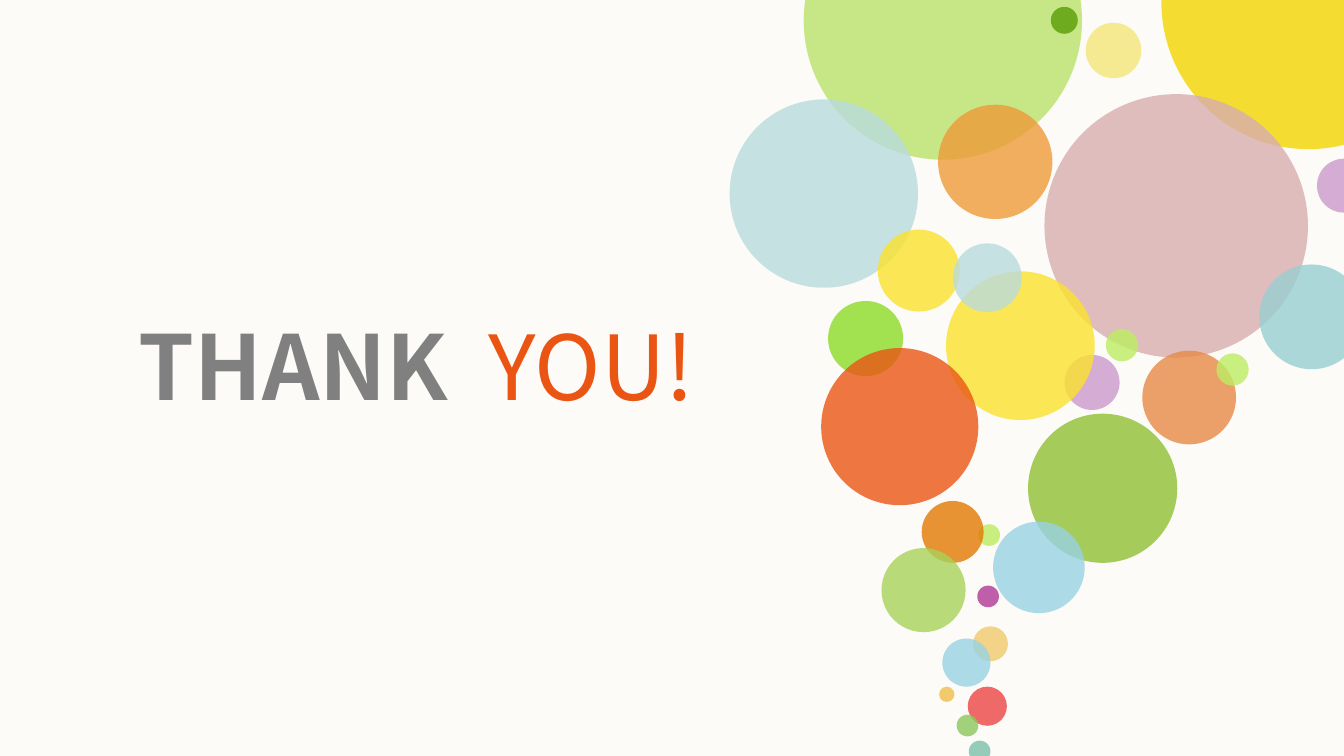
from dataclasses import dataclass

import pptx
import pptx.dml.color
import pptx.enum.shapes
import pptx.enum.text
import pptx.oxml
import pptx.oxml.ns
import pptx.util
from pptx.util import Cm


@dataclass
class Dot:
    left: float
    top: float
    size: float
    tint: str
    alpha: int = 80


@dataclass
class Span:
    text: str
    tint: str
    bold: bool
    gap: float = 0


DOTS = [
    Dot(15.19, -2.24, 5.26, "BAE36B"),
    Dot(19.86, 0.13, 0.51, "6EAB1F", 100),
    Dot(13.79, 1.88, 3.56, "B9DBDD"),
    Dot(17.73, 1.98, 2.16, "ED9B38"),
    Dot(20.52, 0.43, 1.05, "F5EA91", 100),
    Dot(21.95, -2.74, 5.56, "F4D500"),
    Dot(19.74, 1.78, 4.98, "D8AEAF"),
    Dot(23.8, 5, 1.98, "99CED2"),
    Dot(24.89, 3, 1.02, "CB99CC"),
    Dot(21.59, 6.63, 1.77, "E78A47"),
    Dot(19.43, 7.82, 2.82, "A5CB5A", 100),
    Dot(22.99, 6.68, 0.61, "BDED63"),
    Dot(20.9, 6.22, 0.61, "BCED61"),
    Dot(20.12, 6.71, 1.04, "CB99CC"),
    Dot(17.88, 5.13, 2.81, "FBE22D"),
    Dot(16.59, 4.34, 1.55, "FBE22D"),
    Dot(15.65, 5.69, 1.42, "8CDB27"),
    Dot(18.49, 9.91, 0.41, "BCED60"),
    Dot(18.47, 11.07, 0.41, "B03896"),
    Dot(18.39, 11.84, 0.66, "F0CA6C"),
    Dot(17.75, 12.98, 0.29, "F0CA6C", 100),
    Dot(18.31, 14, 0.41, "7BBFAA"),
    Dot(18.29, 12.98, 0.74, "EB4544"),
    Dot(18.08, 13.51, 0.41, "8DC65B"),
    Dot(17.81, 12.07, 0.91, "98D2E3"),
    Dot(18.01, 4.6, 1.3, "B9DBDD"),
    Dot(18.77, 9.86, 1.73, "98D2E3"),
    Dot(17.42, 9.47, 1.17, "E27902"),
    Dot(16.66, 10.36, 1.59, "A9D25A"),
    Dot(15.52, 6.58, 2.97, "EA5514"),
]

SPANS = [
    Span("THANK", "808080", True),
    Span(" ", "808080", True, 10.8),
    Span("YOU!", "EA5514", False),
]


def paint(fill, tint: str, alpha: int = 100) -> None:
    fill.solid()
    fill.fore_color.rgb = pptx.dml.color.RGBColor.from_string(tint)
    if alpha < 100:
        node = fill._xPr.find(".//" + pptx.oxml.ns.qn("a:srgbClr"))
        pptx.oxml.xmlchemy.OxmlElement("a:alpha")
        mark = pptx.oxml.xmlchemy.OxmlElement("a:alpha")
        mark.set("val", str(alpha * 1000))
        node.append(mark)


def draw_dot(slide, dot: Dot) -> None:
    oval = pptx.enum.shapes.MSO_SHAPE.OVAL
    shape = slide.shapes.add_shape(
        oval, Cm(dot.left), Cm(dot.top), Cm(dot.size), Cm(dot.size)
    )
    shape.shadow.inherit = False
    shape.line.fill.background()
    paint(shape.fill, dot.tint, dot.alpha)


def draw_title(title, spans: list[Span]) -> None:
    title.left, title.top = Cm(1.27), Cm(5.82)
    title.width, title.height = Cm(13.21), Cm(2.31)
    frame = title.text_frame
    frame.word_wrap = True
    frame.auto_size = pptx.enum.text.MSO_AUTO_SIZE.NONE
    frame.vertical_anchor = pptx.enum.text.MSO_ANCHOR.MIDDLE
    frame.margin_top, frame.margin_bottom = Cm(0), Cm(0.15)
    line = frame.paragraphs[0]
    line.alignment = pptx.enum.text.PP_ALIGN.CENTER
    for span in spans:
        run = line.add_run()
        run.text = span.text
        run.font.name = "Noto Sans CJK SC"
        run.font.size = pptx.util.Pt(48)
        run.font.bold = span.bold
        paint(run.font.fill, span.tint)
        if span.gap:
            run.font._rPr.set("spc", str(round(span.gap * 100)))


def main() -> None:
    deck = pptx.Presentation()
    deck.slide_width, deck.slide_height = Cm(25.4), Cm(14.29)
    slide = deck.slides.add_slide(deck.slide_layouts[5])
    paint(slide.background.fill, "FCFBF7")
    for dot in DOTS:
        draw_dot(slide, dot)
    draw_title(slide.shapes.title, SPANS)
    deck.save("out.pptx")


if __name__ == "__main__":
    main()
